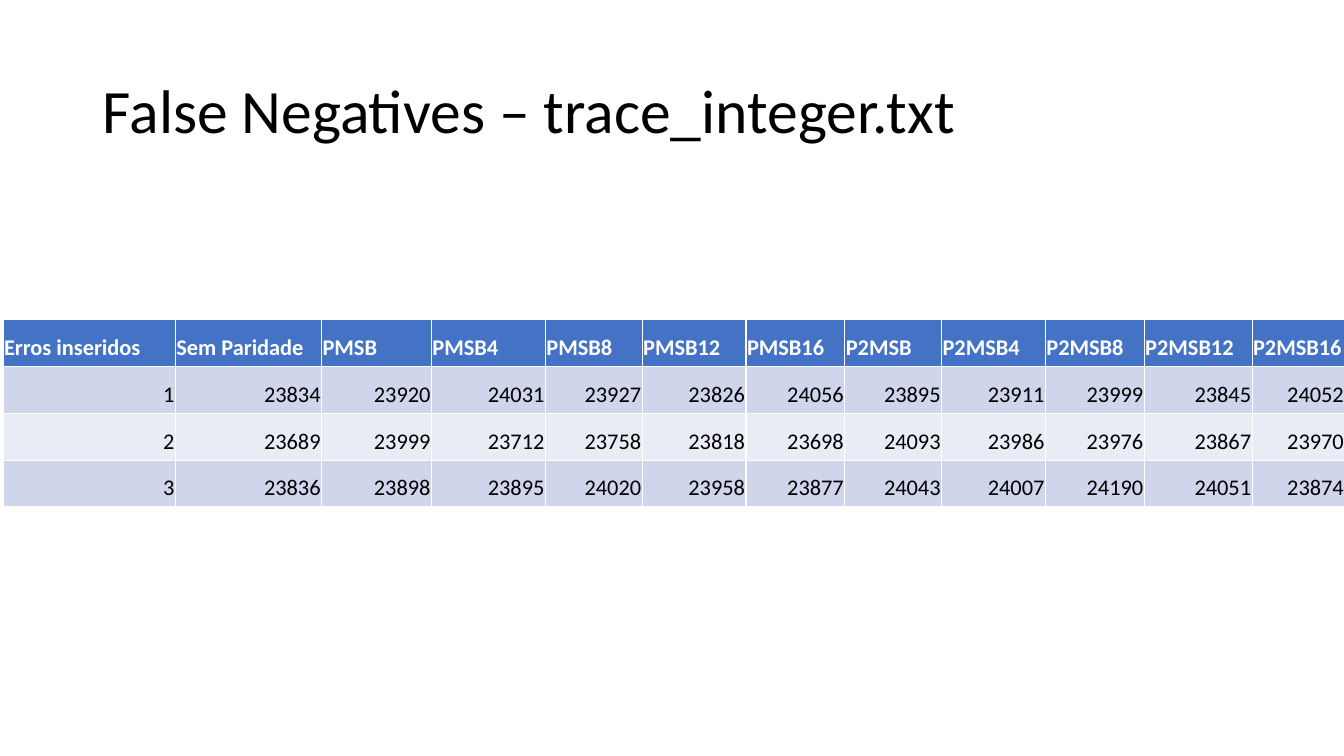
from dataclasses import dataclass

from pptx import Presentation
from pptx.dml.color import RGBColor
from pptx.enum import text as t
from pptx.util import Inches, Pt


@dataclass(frozen=True)
class Theme:
    font: str = "Calibri"
    title: int = 44
    body: int = 16
    ink: str = "000000"
    white: str = "FFFFFF"
    head: str = "4472C4"
    bands: tuple = ("CFD5EA", "E9EBF5")


theme = Theme()


def style(par, size, color, bold=False):
    for run in par.runs:
        font = run.font
        font.name, font.size, font.bold = theme.font, Pt(size), bold
        font.color.rgb = RGBColor.from_string(color)


prs = Presentation()
prs.slide_width, prs.slide_height = Inches(13.33), Inches(7.5)
slide = prs.slides.add_slide(prs.slide_layouts[5])

# Title
title = slide.shapes.title
title.left, title.top = Inches(0.92), Inches(0.4)
title.width, title.height = Inches(11.5), Inches(1.45)
frame = title.text_frame
frame.text = "False Negatives – trace_integer.txt"
frame.vertical_anchor = t.MSO_ANCHOR.MIDDLE
frame.auto_size = t.MSO_AUTO_SIZE.NONE
par = frame.paragraphs[0]
par.alignment = t.PP_ALIGN.LEFT
par.line_spacing = 0.9
style(par, theme.title, theme.ink)

# Table of false negatives per parity scheme
rows = [
    ["Erros inseridos", "Sem Paridade",
     "PMSB", "PMSB4", "PMSB8", "PMSB12", "PMSB16",
     "P2MSB", "P2MSB4", "P2MSB8", "P2MSB12", "P2MSB16"],
    [1, 23834, 23920, 24031, 23927, 23826, 24056,
     23895, 23911, 23999, 23845, 24052],
    [2, 23689, 23999, 23712, 23758, 23818, 23698,
     24093, 23986, 23976, 23867, 23970],
    [3, 23836, 23898, 23895, 24020, 23958, 23877,
     24043, 24007, 24190, 24051, 23874],
]
widths = [1.71, 1.45, 1.09, 1.13, 0.96, 1.03,
          0.98, 0.96, 1.03, 0.98, 1.07, 0.92]
high = 0.465

# The default table style supplies the white cell borders.
table = slide.shapes.add_table(
    len(rows), len(widths), Inches(0.03), Inches(3.17),
    Inches(sum(widths)), Inches(high * len(rows))).table
for col, width in zip(table.columns, widths):
    col.width = Inches(width)

for r, row in enumerate(rows):
    table.rows[r].height = Inches(high)
    head = r == 0
    fill = theme.head if head else theme.bands[(r - 1) % 2]
    for c, value in enumerate(row):
        cell = table.cell(r, c)
        cell.text_frame.text = str(value)
        cell.vertical_anchor = t.MSO_ANCHOR.BOTTOM
        cell.margin_left = cell.margin_top = cell.margin_right = Inches(0.01)
        cell.margin_bottom = Inches(0.05)
        cell.fill.solid()
        cell.fill.fore_color.rgb = RGBColor.from_string(fill)
        par = cell.text_frame.paragraphs[0]
        par.alignment = t.PP_ALIGN.LEFT if head else t.PP_ALIGN.RIGHT
        style(par, theme.body, theme.white if head else theme.ink, head)

prs.save("out.pptx")
